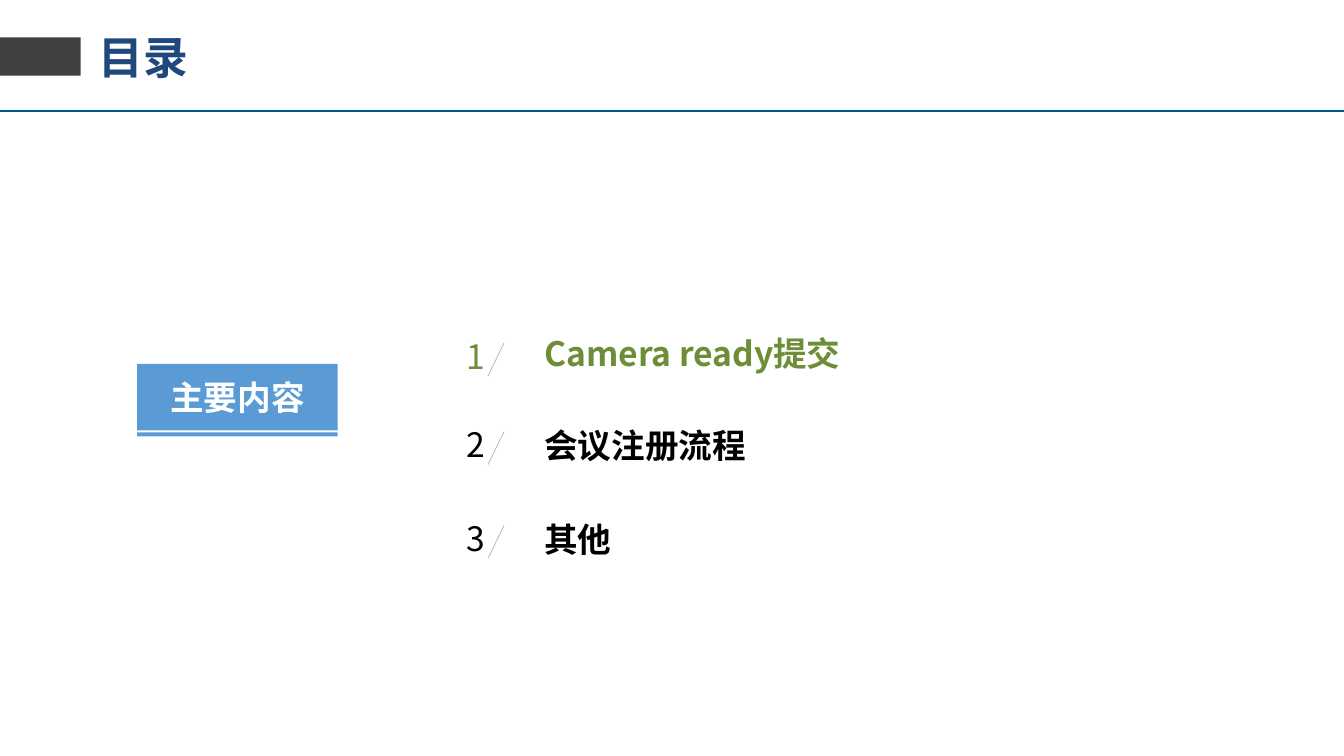
"""Build the agenda slide with a section label and three numbered topics."""
import dataclasses

import pptx
import pptx.dml.color
import pptx.enum.shapes
import pptx.enum.text
import pptx.oxml
import pptx.oxml.ns
import pptx.slide
import pptx.text.text
import pptx.util

PX = 9144
CJK_FONT = "Noto Sans CJK SC"
COLORS = {
    "title": "1F497D",
    "rule": "005490",
    "marker": "404040",
    "label": "5B9BD5",
    "white": "FFFFFF",
    "active": "6D8E37",
    "plain": "000000",
    "slash": "B2B2B2",
}
ALIGN = pptx.enum.text.PP_ALIGN
ANCHOR = pptx.enum.text.MSO_ANCHOR


@dataclasses.dataclass(frozen=True)
class Box:
    left: int
    top: int
    width: int
    height: int

    def emu(self) -> list[int]:
        return [side * PX for side in dataclasses.astuple(self)]


@dataclasses.dataclass(frozen=True)
class Style:
    color: str
    size: int = 24
    bold: bool = True
    font: str = CJK_FONT
    align: ALIGN = ALIGN.LEFT
    anchor: ANCHOR = ANCHOR.TOP
    inset: bool = True


@dataclasses.dataclass(frozen=True)
class Topic:
    number: str
    title: str
    number_top: int
    title_top: int
    title_width: int
    color: str


TOPICS = [
    Topic("1", "Camera ready提交", 326, 325, 320, "active"),
    Topic("2", "会议注册流程", 414, 417, 222, "plain"),
    Topic("3", "其他", 507, 510, 88, "plain"),
]


def rgb(color: str) -> pptx.dml.color.RGBColor:
    return pptx.dml.color.RGBColor.from_string(COLORS[color])


def write(frame: pptx.text.text.TextFrame, text: str, style: Style) -> None:
    frame.word_wrap = True
    frame.vertical_anchor = style.anchor
    if not style.inset:
        frame.margin_left = frame.margin_right = 0
        frame.margin_top = frame.margin_bottom = 0
    para = frame.paragraphs[0]
    para.text = text
    para.alignment = style.align
    para.font.size = pptx.util.Pt(style.size)
    para.font.bold = style.bold
    para.font.color.rgb = rgb(style.color)
    para.font.name = style.font
    defaults = para._p.pPr.find(pptx.oxml.ns.qn("a:defRPr"))
    east_asian = defaults.makeelement(pptx.oxml.ns.qn("a:ea"), {"typeface": CJK_FONT})
    defaults.find(pptx.oxml.ns.qn("a:latin")).addnext(east_asian)


def add_text(page: pptx.slide.Slide, box: Box, text: str, style: Style) -> None:
    write(page.shapes.add_textbox(*box.emu()).text_frame, text, style)


def add_bar(page: pptx.slide.Slide, box: Box, color: str) -> pptx.text.text.TextFrame:
    bar = page.shapes.add_shape(pptx.enum.shapes.MSO_SHAPE.RECTANGLE, *box.emu())
    bar.shadow.inherit = False
    bar.fill.solid()
    bar.fill.fore_color.rgb = rgb(color)
    bar.line.fill.background()
    return bar.text_frame


def add_line(page: pptx.slide.Slide, ends: tuple[int, int, int, int],
             color: str, weight: float) -> None:
    line = page.shapes.add_connector(
        pptx.enum.shapes.MSO_CONNECTOR.STRAIGHT, *(end * PX for end in ends))
    line.line.color.rgb = rgb(color)
    line.line.width = pptx.util.Pt(weight)
    properties = line._element.spPr
    properties.append(properties.makeelement(pptx.oxml.ns.qn("a:effectLst"), {}))


def add_topic(page: pptx.slide.Slide, topic: Topic) -> None:
    number_style = Style(topic.color, bold=False, align=ALIGN.CENTER,
                         anchor=ANCHOR.MIDDLE, inset=False)
    add_text(page, Box(457, topic.number_top, 30, 54), topic.number, number_style)
    slash_top = topic.number_top + 14
    add_line(page, (500, slash_top, 484, slash_top + 33), "slash", 0.5)
    add_text(page, Box(530, topic.title_top, topic.title_width, 50),
             topic.title, Style(topic.color))


def main() -> None:
    deck = pptx.Presentation()
    deck.slide_width, deck.slide_height = 1333 * PX, 750 * PX
    page = deck.slides.add_slide(deck.slide_layouts[6])

    add_bar(page, Box(0, 37, 80, 38), "marker")
    add_text(page, Box(88, 32, 207, 48), "目录",
             Style("title", size=32, font="Roboto", anchor=ANCHOR.MIDDLE))
    add_line(page, (0, 110, 1333, 110), "rule", 1.5)

    label = add_bar(page, Box(136, 361, 199, 66), "label")
    write(label, "主要内容", Style("white", align=ALIGN.CENTER,
                               anchor=ANCHOR.MIDDLE, inset=False))
    add_bar(page, Box(136, 429, 199, 4), "label")

    for topic in TOPICS:
        add_topic(page, topic)
    deck.save("out.pptx")


if __name__ == "__main__":
    main()
